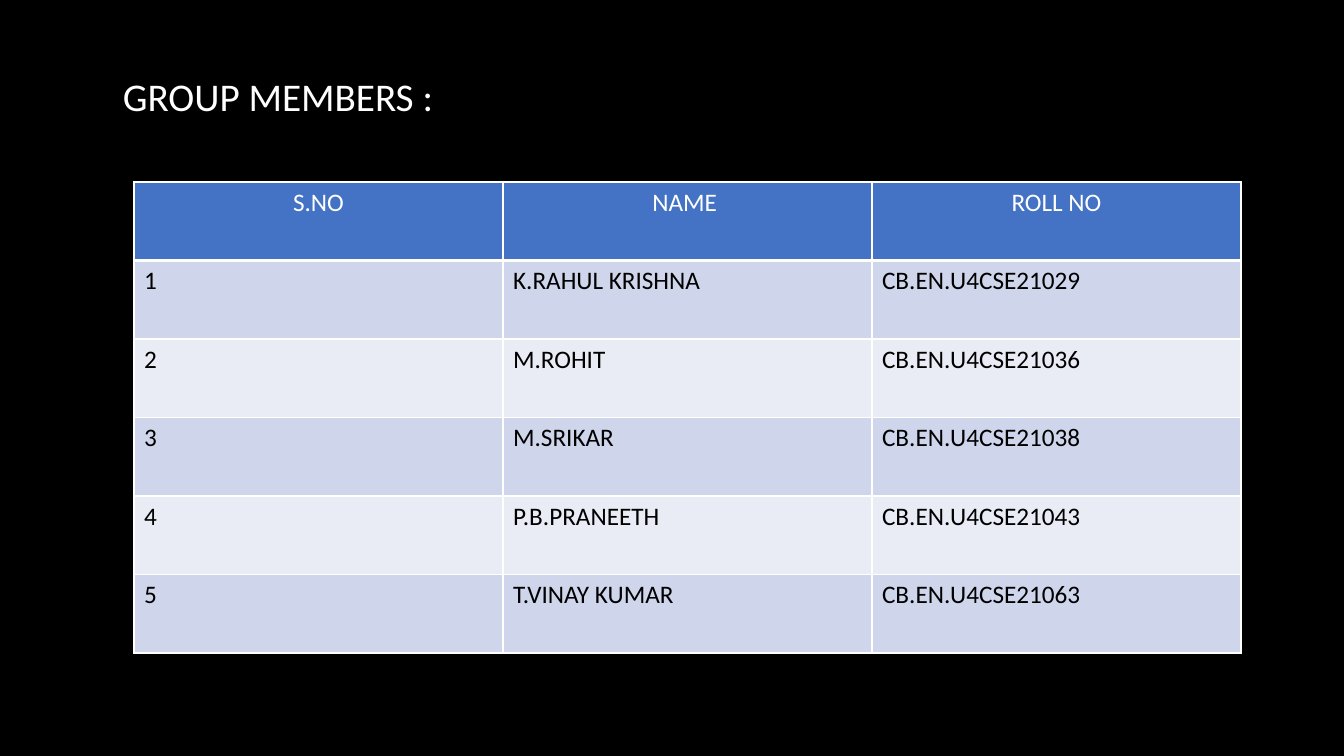
from lxml import etree
from pptx import Presentation
from pptx import util as u
from pptx.dml.color import RGBColor
from pptx.enum import text
from pptx.oxml.ns import qn

TITLE = "GROUP MEMBERS :"
HEADER = ("S.NO", "NAME ", "ROLL NO")
MEMBERS = [
    ("1", "K.RAHUL KRISHNA", "CB.EN.U4CSE21029"),
    ("2", "M.ROHIT", "CB.EN.U4CSE21036"),
    ("3", "M.SRIKAR", "CB.EN.U4CSE21038"),
    ("4", "P.B.PRANEETH", "CB.EN.U4CSE21043"),
    ("5", "T.VINAY KUMAR", "CB.EN.U4CSE21063"),
]
SLIDE_SIZE = (1344, 756)
TITLE_BOX = (113, 67, 477, 57)
TABLE_BOX = (134, 182, 1107, 471)
FONT = "Calibri"
BLACK, WHITE, HEADER_BLUE = "000000", "FFFFFF", "4472C4"
BANDS = ("CFD5EA", "E9EBF5")


def px(length):
    return u.Emu(round(length * 914400 / 100.8))


def color(value):
    return RGBColor.from_string(value)


def add_run(paragraph, content, size, font_color):
    run = paragraph.add_run()
    run.text = content
    run.font.name = FONT
    run.font.size = u.Pt(size)
    run.font.bold = False
    run.font.color.rgb = color(font_color)


def set_borders(cell, bottom_width):
    """Draw white lines on all four sides, one point wide but for the bottom."""
    properties = cell._tc.get_or_add_tcPr()
    widths = {"a:lnL": 1, "a:lnR": 1, "a:lnT": 1, "a:lnB": bottom_width}
    for position, (tag, width) in enumerate(widths.items()):
        line = etree.Element(qn(tag), w=str(u.Pt(width)))
        fill = etree.SubElement(line, qn("a:solidFill"))
        etree.SubElement(fill, qn("a:srgbClr"), val=WHITE)
        properties.insert(position, line)


def add_members_table(slide):
    rows = [HEADER, *MEMBERS]
    frame = slide.shapes.add_table(len(rows), len(HEADER), *map(px, TABLE_BOX))
    table = frame.table
    table.first_row = table.horz_banding = False
    for row_index, row in enumerate(rows):
        is_header = row_index == 0
        for column_index, content in enumerate(row):
            cell = table.cell(row_index, column_index)
            cell.fill.solid()
            cell.fill.fore_color.rgb = color(
                HEADER_BLUE if is_header else BANDS[(row_index - 1) % 2])
            set_borders(cell, 3 if is_header else 1)
            paragraph = cell.text_frame.paragraphs[0]
            if is_header:
                paragraph.alignment = text.PP_ALIGN.CENTER
            add_run(paragraph, content, 18, WHITE if is_header else BLACK)


def add_title(slide):
    frame = slide.shapes.add_textbox(*map(px, TITLE_BOX)).text_frame
    frame.word_wrap = True
    frame.auto_size = text.MSO_AUTO_SIZE.SHAPE_TO_FIT_TEXT
    add_run(frame.paragraphs[0], TITLE, 28, WHITE)


def main():
    presentation = Presentation()
    presentation.slide_width, presentation.slide_height = map(px, SLIDE_SIZE)
    slide = presentation.slides.add_slide(presentation.slide_layouts[6])
    slide.background.fill.solid()
    slide.background.fill.fore_color.rgb = color(BLACK)
    add_members_table(slide)
    add_title(slide)
    presentation.save("out.pptx")


if __name__ == "__main__":
    main()
